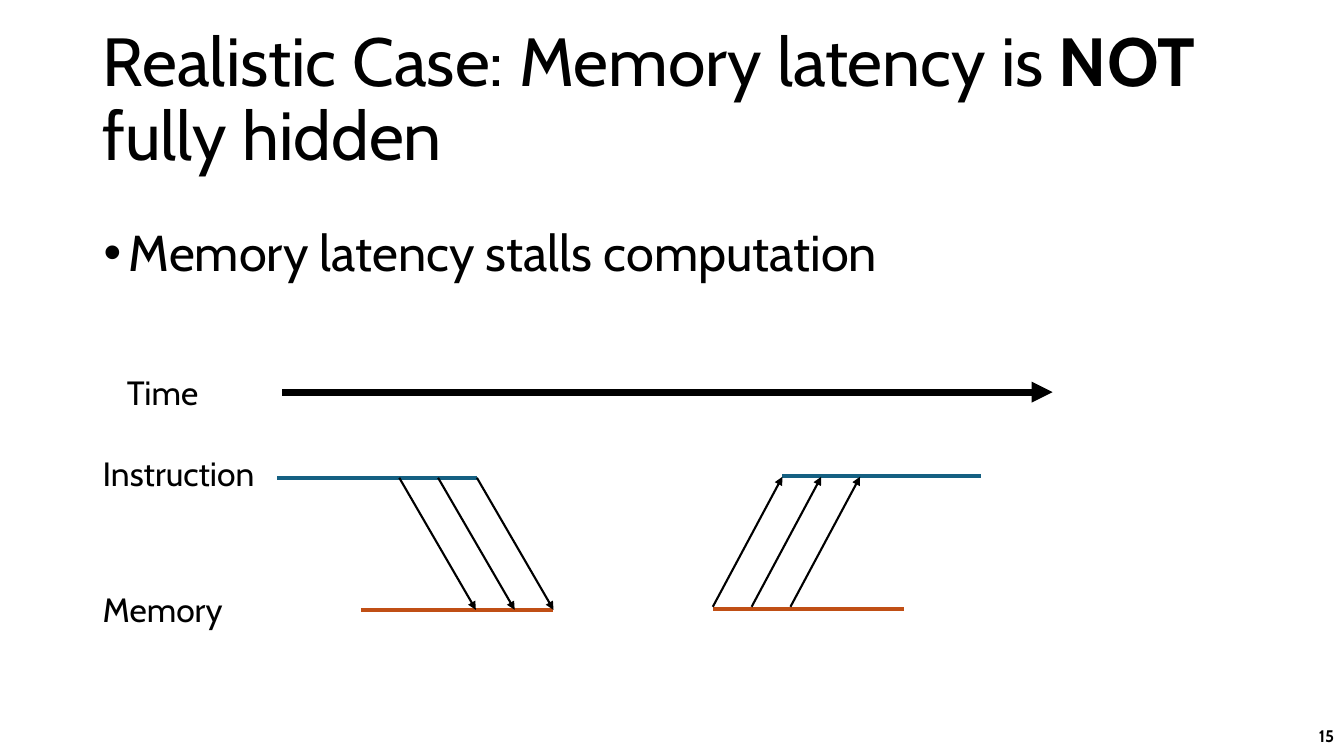
from dataclasses import dataclass

from lxml import etree
from pptx import Presentation
from pptx import util as u
from pptx.dml.color import RGBColor
from pptx.enum import shapes, text
from pptx.oxml.ns import qn


@dataclass(frozen=True)
class Theme:
    """Colours, font and type sizes of the slide."""
    font: str = "Cabin"
    ink: str = "000000"
    instruction: str = "156082"
    memory: str = "C04F15"
    title: float = 48.6
    body: float = 36
    label: float = 24
    number: float = 12


THEME = Theme()


def add_text(slide, box, runs, size, anchor=text.MSO_ANCHOR.TOP,
             align=text.PP_ALIGN.LEFT, spacing=1.0, wrap=True, bullet=None):
    """Add a text box holding one paragraph of (wording, bold) runs."""
    frame = slide.shapes.add_textbox(*map(u.Inches, box)).text_frame
    frame.word_wrap = wrap
    frame.vertical_anchor = anchor
    paragraph = frame.paragraphs[0]
    paragraph.alignment = align
    paragraph.line_spacing = spacing
    if bullet:
        props = paragraph._p.get_or_add_pPr()
        props.set("marL", str(u.Inches(0.25)))
        props.set("indent", str(u.Inches(-0.25)))
        etree.SubElement(props, qn("a:buFont")).set("typeface", "Arial")
        etree.SubElement(props, qn("a:buChar")).set("char", bullet)
    for wording, bold in runs:
        run = paragraph.add_run()
        run.text = wording
        run.font.name = THEME.font
        run.font.size = u.Pt(size)
        run.font.bold = bold
        run.font.color.rgb = RGBColor.from_string(THEME.ink)


def add_line(slide, start, end, color=THEME.ink, width=1.5, arrow=False):
    """Draw a straight line, with an arrowhead at its end if asked."""
    line = slide.shapes.add_connector(
        shapes.MSO_CONNECTOR.STRAIGHT, *map(u.Inches, (*start, *end)))
    line.line.color.rgb = RGBColor.from_string(color)
    line.line.width = u.Pt(width)
    if arrow:
        outline = line.line._get_or_add_ln()
        etree.SubElement(outline, qn("a:tailEnd")).set("type", "triangle")
    etree.SubElement(line._element.spPr, qn("a:effectLst"))


def add_timeline(slide):
    """Draw the time axis, the busy spans and the transfers between them."""
    for label, left, top, width in (("Time", 1.16, 3.64, 0.91),
                                    ("Instruction", 0.92, 4.44, 1.78),
                                    ("Memory", 0.92, 5.79, 1.39)):
        add_text(slide, (left, top, width, 0.5), [(label, False)],
                 THEME.label, wrap=False)
    add_line(slide, (2.8, 3.89), (10.44, 3.89), width=5, arrow=True)

    for left, right, level, color in ((2.75, 4.73, 4.74, THEME.instruction),
                                      (7.76, 9.73, 4.72, THEME.instruction),
                                      (3.58, 5.48, 6.05, THEME.memory),
                                      (7.07, 8.97, 6.04, THEME.memory)):
        add_line(slide, (left, level), (right, level), color, width=3)

    for step in range(3):
        shift = 0.385 * step
        add_line(slide, (3.96 + shift, 4.74), (4.72 + shift, 6.05), arrow=True)
        add_line(slide, (7.07 + shift, 6.02), (7.76 + shift, 4.73), arrow=True)


def main():
    """Build the slide and save it."""
    deck = Presentation()
    deck.slide_width, deck.slide_height = u.Inches(13.33), u.Inches(7.5)
    slide = deck.slides.add_slide(deck.slide_layouts[6])
    add_text(slide, (0.92, 0.18, 11.5, 1.65),
             [("Realistic Case: Memory latency is ", False), ("NOT ", True),
              ("fully hidden", False)],
             THEME.title, anchor=text.MSO_ANCHOR.MIDDLE, spacing=0.9)
    add_text(slide, (0.93, 2.21, 11.5, 2.02),
             [("Memory latency stalls computation", False)],
             THEME.body, spacing=0.9, bullet="•")
    add_timeline(slide)
    add_text(slide, (10.33, 7.1, 3, 0.4), [("15", True)], THEME.number,
             anchor=text.MSO_ANCHOR.MIDDLE, align=text.PP_ALIGN.RIGHT)
    deck.save("out.pptx")


if __name__ == "__main__":
    main()
